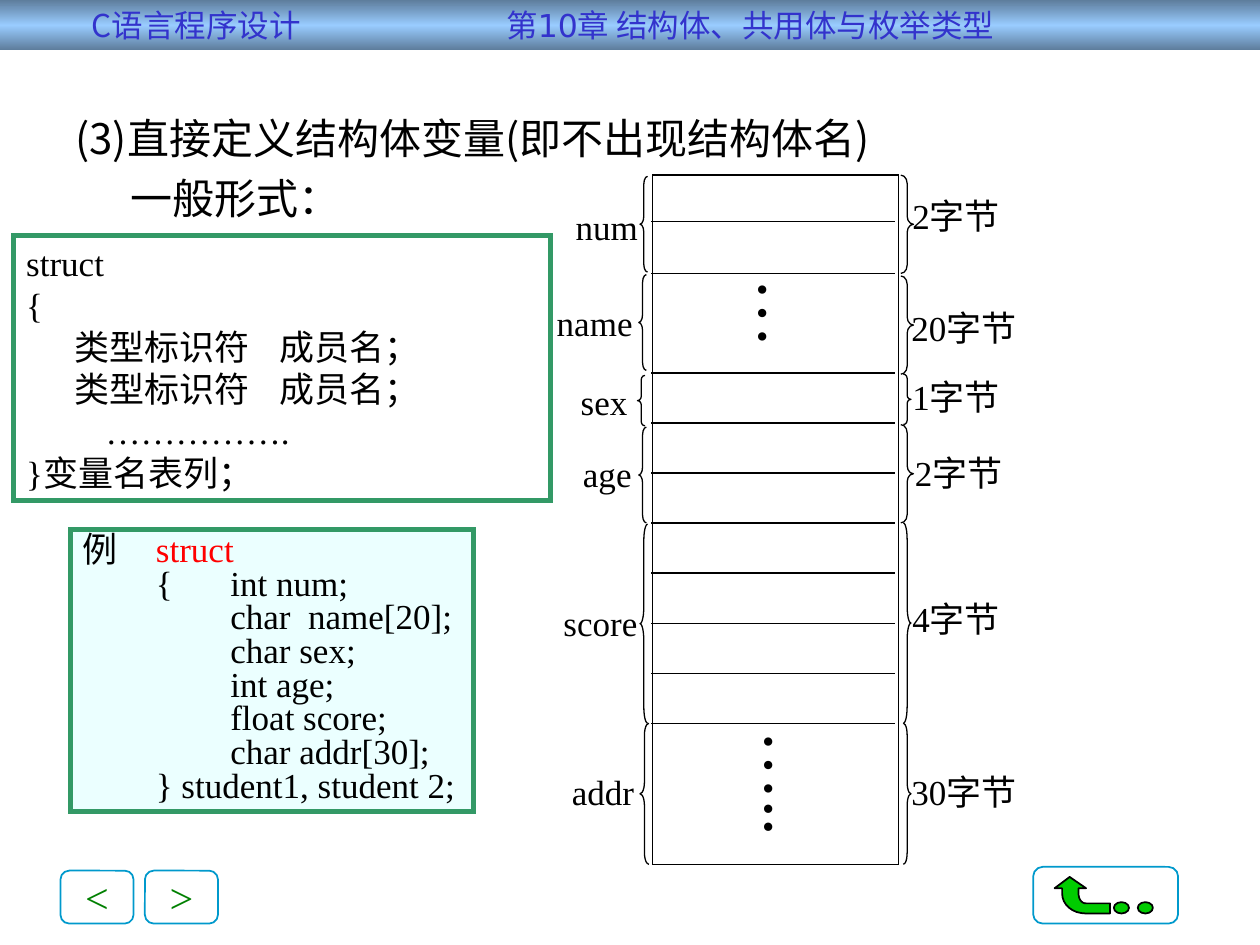
from copy import deepcopy

from lxml import etree
from pptx import Presentation
from pptx.dml.color import RGBColor
from pptx.enum import shapes, text
from pptx.oxml.ns import qn
from pptx.util import Inches, Pt

BLACK = RGBColor(0x00, 0x00, 0x00)
RED = RGBColor(0xFF, 0x00, 0x00)
INDIGO = RGBColor(0x33, 0x33, 0xCC)
SKY = RGBColor(0x99, 0xCC, 0xFF)
STEEL = RGBColor(0x5D, 0x7C, 0x9B)
CYAN = RGBColor(0x00, 0x99, 0xCC)
FRAME = RGBColor(0x33, 0x99, 0x66)
PALE = RGBColor(0xEB, 0xFF, 0xFF)
GREEN = RGBColor(0x00, 0x80, 0x00)
LIME = RGBColor(0x00, 0xCC, 0x00)
SERIF = "Times New Roman"
SANS = "Noto Sans CJK SC"
SHAPE = shapes.MSO_SHAPE
LEFT, CENTER = text.PP_ALIGN.LEFT, text.PP_ALIGN.CENTER

prs = Presentation()
prs.slide_width, prs.slide_height = Inches(10), Inches(7.5)
s = prs.slides.add_slide(prs.slide_layouts[6])


def add_box(kind, at, line=None, width=0.75, fill=None):
    """Add a preset shape, or a text box when kind is None."""
    at = [Inches(v) for v in at]
    if kind is None:
        return s.shapes.add_textbox(*at)
    sp = s.shapes.add_shape(kind, *at)
    sp.shadow.inherit = False
    if fill is None:
        sp.fill.background()
    else:
        sp.fill.solid()
        sp.fill.fore_color.rgb = fill
    if line is None:
        sp.line.fill.background()
    else:
        sp.line.color.rgb = line
        sp.line.width = Pt(width)
        if kind == SHAPE.RECTANGLE:  # square corners
            etree.SubElement(sp._element.spPr.find(qn("a:ln")), qn("a:miter"), lim="800000")
    return sp


def write(sp, lines, size=20, color=BLACK, font=SERIF, align=LEFT, tabs=(),
          spacing=None, wrap=True, anchor=text.MSO_ANCHOR.MIDDLE):
    """Write one paragraph per line, with tab stops in inches."""
    tf = sp.text_frame
    tf.word_wrap = wrap
    tf.vertical_anchor = anchor
    for i, line in enumerate(lines):
        p = tf.paragraphs[0] if i == 0 else tf.add_paragraph()
        if tabs:
            tab_list = etree.SubElement(p._p.get_or_add_pPr(), qn("a:tabLst"))
            for stop in tabs:
                etree.SubElement(tab_list, qn("a:tab"), pos=str(Inches(stop)), algn="l")
        p.alignment = align
        if spacing:
            p.line_spacing = spacing
        p.font.size, p.font.name, p.font.color.rgb = Pt(size), font, color
        p.add_run().text = line
    return tf


# Header band
sp = add_box(SHAPE.RECTANGLE, (0, 0, 10, 0.4))
sp.fill.gradient()
sp.fill.gradient_angle = 90
stops = sp._element.spPr.find(".//" + qn("a:gsLst"))
stops.insert(1, deepcopy(stops[0]))
for stop, pos, color in zip(sp.fill.gradient_stops, (0, 0.5, 1), (STEEL, SKY, STEEL)):
    stop.position, stop.color.rgb = pos, color
tf = write(sp, ["\tC语言程序设计\t"], 18, INDIGO, SANS, tabs=(0.63, 3.92))
r = tf.paragraphs[0].add_run()
r.text = "第10章 结构体、共用体与枚举类型"
r.font.name = "DejaVu Sans"

# Navigation buttons
for x, label in ((0.48, "<"), (1.15, ">")):
    sp = add_box(SHAPE.ROUNDED_RECTANGLE, (x, 6.91, 0.58, 0.42), CYAN, 1)
    write(sp, [label], 24, GREEN, align=CENTER, wrap=False)

# Return button: bent arrow, with each curve sampled as short segments
outline = [
    [(8.49, 6.96)], [(8.37, 7.05)], [(8.43, 7.05)], [(8.43, 7.09)],
    [(8.43, 7.18), (8.51, 7.25), (8.62, 7.25)],
    [(8.81, 7.25)], [(8.81, 7.17)], [(8.62, 7.17)],
    [(8.58, 7.17), (8.56, 7.13), (8.56, 7.09)],
    [(8.56, 7.05)], [(8.62, 7.05)],
]
points = []
for step in outline:
    if len(step) == 1:
        points += step
        continue
    curve = [points[-1], *step]
    for t in (n / 8 for n in range(1, 9)):
        weights = ((1 - t) ** 3, 3 * t * (1 - t) ** 2, 3 * t * t * (1 - t), t ** 3)
        points.append(tuple(sum(w * pt[k] for w, pt in zip(weights, curve)) for k in (0, 1)))
points = [(Inches(x), Inches(y)) for x, y in points]
fb = s.shapes.build_freeform(*points[0])
fb.add_line_segments(points[1:], close=True)
sp = fb.convert_to_shape()
sp.shadow.inherit = False
sp.fill.solid()
sp.fill.fore_color.rgb = LIME
sp.line.color.rgb = BLACK
sp.line.width = Pt(1)
for x in (8.84, 9.03):
    add_box(SHAPE.OVAL, (x, 7.16, 0.12, 0.09), BLACK, 1, LIME)
add_box(SHAPE.ROUNDED_RECTANGLE, (8.2, 6.88, 1.15, 0.45), CYAN, 1)

# Heading
tf = write(add_box(None, (0, 0.84, 9.43, 1.19)),
           ["(3)直接定义结构体变量(即不出现结构体名)", "一般形式："],
           24, font=SANS, anchor=text.MSO_ANCHOR.TOP)
for p, margin in zip(tf.paragraphs, (0.5, 0.94)):
    p._p.get_or_add_pPr().set("marL", str(Inches(margin)))
p.space_before = Pt(6)
p.font.name = SERIF

# General form
sp = add_box(SHAPE.RECTANGLE, (0.11, 1.87, 4.26, 2.1), FRAME, 3)
member = "\t类型标识符\t成员名；"
write(sp, ["struct", "{", member, member, "\t\t…………….", "}变量名表列；"],
      tabs=(0.38, 0.63, 2.01))

# Example
sp = add_box(SHAPE.RECTANGLE, (0.56, 4.2, 3.2, 2.24), FRAME, 3, PALE)
fields = ["char  name[20];", "char sex;", "int age;", "float score;", "char addr[30];"]
tf = write(sp, ["例\t", "\t{\tint num;", *("\t\t" + f for f in fields),
                "\t} student1, student 2;"], tabs=(0.58, 1.17), spacing=0.8)
r = tf.paragraphs[0].add_run()
r.text = "struct"
r.font.color.rgb = RED

# Memory column and its byte rows
add_box(SHAPE.RECTANGLE, (5.18, 1.39, 1.95, 5.47), BLACK)
for y in [1.76, 2.17] + [2.96 + 2.78 / 7 * i for i in range(8)]:
    ln = s.shapes.add_connector(shapes.MSO_CONNECTOR.STRAIGHT,
                                Inches(5.17), Inches(y), Inches(7.1), Inches(y))
    ln.line.color.rgb = BLACK
    ln.line.width = Pt(0.75)
    etree.SubElement(ln._element.spPr, qn("a:effectLst"))

# Members: name box, size box, left brace, right brace
members = [
    ("num", (4.47, 1.58, 0.69), "2字节", (7.11, 1.49, 0.96),
     (5.08, 1.4, 0.06, 0.76), (7.15, 1.39, 0.1, 0.78)),
    ("name", (4.32, 2.34, 0.8), "20字节", (7.1, 2.38, 1.1),
     (5.07, 2.18, 0.06, 0.76), (7.15, 2.19, 0.1, 0.78)),
    ("sex", (4.51, 2.97, 0.57), "1字节", (7.11, 2.93, 0.96),
     (5.06, 2.98, 0.06, 0.4), (7.17, 2.97, 0.06, 0.4)),
    ("age", (4.53, 3.54, 0.58), "2字节", (7.13, 3.53, 0.96),
     (5.07, 3.39, 0.06, 0.76), (7.15, 3.37, 0.1, 0.78)),
    ("score", (4.37, 4.72, 0.79), "4字节", (7.11, 4.69, 0.96),
     (5.08, 4.16, 0.06, 1.58), (7.17, 4.15, 0.06, 1.59)),
    ("addr", (4.44, 6.06, 0.69), "30字节", (7.1, 6.06, 1.1),
     (5.08, 5.74, 0.07, 1.12), (7.17, 5.74, 0.06, 1.12)),
]
for name, name_at, size, size_at, left_at, right_at in members:
    for kind, at in ((SHAPE.LEFT_BRACE, left_at), (SHAPE.RIGHT_BRACE, right_at)):
        sp = add_box(kind, at, BLACK)
        sp.adjustments[0] = at[3] / 12 / at[2]
    for label, at in ((name, name_at), (size, size_at)):
        tf = write(add_box(None, (*at, 0.44)), [label], align=CENTER, wrap=False)
        tf.margin_left = tf.margin_right = 0

# Vertical dots for the long members
for dots, at in (("…", (5.82, 2.21, 0.86, 0.66)), ("…..", (5.87, 5.8, 0.86, 0.94))):
    tf = write(add_box(None, at), [dots], 40, align=CENTER, wrap=False)
    tf.margin_left = tf.margin_right = Inches(0.05)
    tf.margin_top = tf.margin_bottom = 0
    tf._txBody.bodyPr.set("vert", "eaVert")

prs.save("out.pptx")
